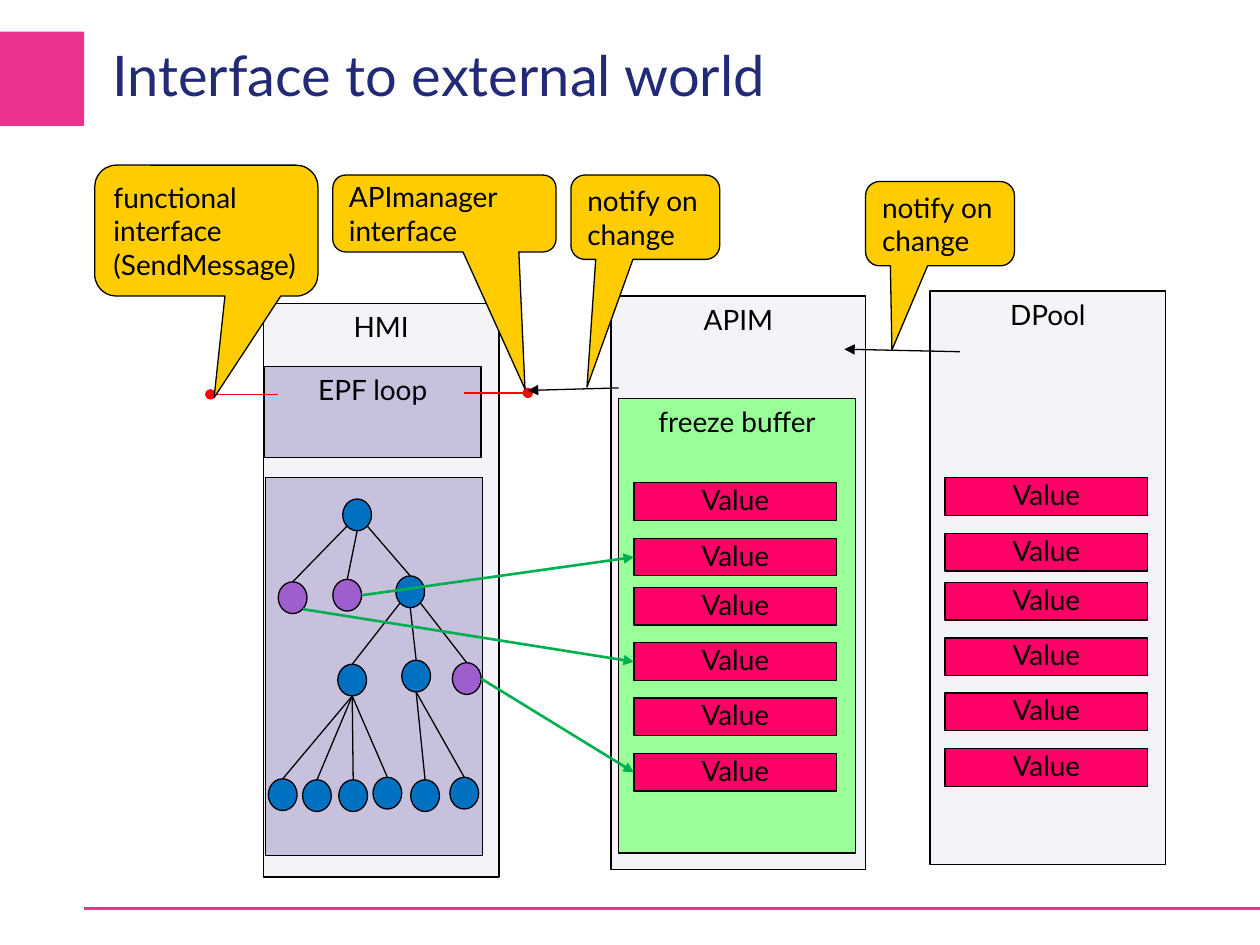
import pptx
import pptx.util
import pptx.dml.color
import pptx.enum.shapes
import pptx.enum.text
import pptx.oxml.ns
import lxml.etree

Cm = pptx.util.Cm
Pt = pptx.util.Pt
KIND = pptx.enum.shapes.MSO_SHAPE
ALIGN = pptx.enum.text.PP_ALIGN
ANCHOR = pptx.enum.text.MSO_ANCHOR

HUES = {
    "pink": "EB328C", "navy": "222A78", "black": "000000", "pale": "F4F3F8",
    "mauve": "C7C1DD", "mint": "99FF99", "rose": "FF0066", "gold": "FFCC00",
    "blue": "0070C0", "lilac": "9E5ECE", "green": "00B050", "red": "FF0000",
}

LABEL = {"word_wrap": False, "vertical_anchor": ANCHOR.TOP}
TIGHT = {**LABEL, "margin_top": 0, "margin_bottom": 0}
SPEECH = {"word_wrap": True, "vertical_anchor": ANCHOR.MIDDLE}
HEAD = {"word_wrap": True, "vertical_anchor": ANCHOR.MIDDLE,
        "auto_size": pptx.enum.text.MSO_AUTO_SIZE.NONE,
        "margin_left": 0, "margin_right": 0, "margin_top": 0, "margin_bottom": 0}

# Left and top of each tree node, its colour and its children
NODES = {
    "root": (6.91, 10.06, "blue", ["left", "mid", "right"]),
    "left": (5.61, 11.73, "lilac", []),
    "mid": (6.71, 11.68, "lilac", []),
    "right": (7.98, 11.61, "blue", ["low", "next", "last"]),
    "low": (6.81, 13.39, "blue", ["leaf1", "leaf2", "leaf3", "leaf4"]),
    "next": (8.10, 13.31, "blue", ["leaf5", "leaf6"]),
    "last": (9.12, 13.36, "lilac", []),
    "leaf1": (5.41, 15.70, "blue", []),
    "leaf2": (6.10, 15.72, "blue", []),
    "leaf3": (6.83, 15.72, "blue", []),
    "leaf4": (7.52, 15.67, "blue", []),
    "leaf5": (8.28, 15.72, "blue", []),
    "leaf6": (9.07, 15.67, "blue", []),
}
NODE_W, NODE_H = 0.58, 0.64
VALUE_W, VALUE_H = 4.09, 0.76
STEPS = [0, 1.12, 2.11, 3.23, 4.34, 5.46]


def color(name):
    return pptx.dml.color.RGBColor.from_string(HUES[name])


def apply(thing, style):
    for key, value in style.items():
        setattr(thing, key, value)


def write(shape, lines, frame, align, size=16, hue="black"):
    apply(shape.text_frame, frame)
    shape.text_frame.text = "\n".join(lines)
    for para in shape.text_frame.paragraphs:
        para.alignment = align
        apply(para.font, {"size": Pt(size), "name": "Lato"})
        para.font.color.rgb = color(hue)


def add_box(slide, box, fill, kind=KIND.RECTANGLE, edge="black"):
    shape = slide.shapes.add_shape(kind, *[Cm(side) for side in box])
    shape.shadow.inherit = False
    shape.fill.solid()
    shape.fill.fore_color.rgb = color(fill)
    shape.line.color.rgb = color(edge)
    shape.line.width = Pt(0.75)
    return shape


def add_panel(slide, box, fill, label=None, frame=LABEL):
    shape = add_box(slide, box, fill)
    if label:
        write(shape, [label], frame, ALIGN.CENTER)


def add_line(slide, start, end, hue="black", width=0.75, **tips):
    ends = [Cm(part) for part in (*start, *end)]
    line = slide.shapes.add_connector(
        pptx.enum.shapes.MSO_CONNECTOR.STRAIGHT, *ends)
    line.line.color.rgb = color(hue)
    line.line.width = Pt(width)
    name = pptx.oxml.ns.qn
    stroke = line.line._get_or_add_ln()
    # headEnd marks the start, tailEnd the end
    for tip, form in tips.items():
        lxml.etree.SubElement(stroke, name("a:" + tip), type=form)
    lxml.etree.SubElement(line._element.spPr, name("a:effectLst"))


def add_speech(slide, box, point, lines):
    shape = add_box(slide, box, "gold", KIND.ROUNDED_RECTANGULAR_CALLOUT)
    for spot, value in enumerate((*point, 0.167)):
        shape.adjustments[spot] = value
    write(shape, lines, SPEECH, ALIGN.LEFT)


def rim(name, across, down):
    """Point on a node's rim; across and down are -1, 0 or 1."""
    left, top = NODES[name][:2]
    reach = 0.36 if across and down else 0.5
    return (left + NODE_W * (0.5 + reach * across),
            top + NODE_H * (0.5 + reach * down))


def add_tree(slide):
    for name, (_, _, _, kids) in NODES.items():
        sides = [-1, 0, 1] if len(kids) == 3 else [0] * len(kids)
        for kid, side in zip(kids, sides):
            add_line(slide, rim(name, side, 1), rim(kid, 0, -1))
    for left, top, fill, _ in NODES.values():
        add_box(slide, (left, top, NODE_W, NODE_H), fill, KIND.OVAL)


def add_stack(slide, left, top):
    for step in STEPS:
        add_panel(slide, (left, top + step, VALUE_W, VALUE_H), "rose", "Value", TIGHT)


def add_frame(slide):
    block = add_box(slide, (-0.03, 0.64, 1.73, 1.9), "pink")
    block.line.fill.background()
    add_line(slide, (1.7, 18.31), (25.43, 18.31), "pink", 2)
    title = slide.shapes.title
    apply(title, {"left": Cm(2.26), "top": Cm(0.41),
                  "width": Cm(17.25), "height": Cm(2.16)})
    write(title, ["Interface to external world"], HEAD, ALIGN.LEFT, 32, "navy")


def main():
    deck = pptx.Presentation()
    apply(deck, {"slide_width": Cm(25.4), "slide_height": Cm(19.05)})
    slide = deck.slides.add_slide(deck.slide_layouts[5])
    add_frame(slide)

    # Main panels
    for box, fill, label in [
        ((18.75, 5.87, 4.75, 11.56), "pale", "DPool"),
        ((12.32, 5.97, 5.13, 11.56), "pale", "APIM"),
        ((12.47, 8.03, 4.78, 9.17), "mint", "freeze buffer"),
        ((5.31, 6.12, 4.75, 11.56), "pale", "HMI"),
        ((5.36, 9.63, 4.37, 7.62), "mauve", None),
        ((5.33, 7.39, 4.37, 1.83), "mauve", "EPF loop"),
    ]:
        add_panel(slide, box, fill, label)

    # Tree and value stacks
    add_tree(slide)
    left, top = 12.78, 9.73
    add_stack(slide, left, top)
    add_stack(slide, 19.05, 9.63)

    # Links from lilac nodes to buffered values
    for name, across, down, row in [
        ("mid", 1, 0, 1), ("left", 1, 1, 3), ("last", 1, 0, 5),
    ]:
        goal = (left, top + STEPS[row] + VALUE_H / 2)
        add_line(slide, rim(name, across, down), goal, "green", 1.5,
                 tailEnd="triangle")

    # Ports of the loop and notify arrows
    for start, end in [((10.64, 7.92), (9.35, 7.92)), ((4.24, 7.95), (5.61, 7.95))]:
        add_line(slide, start, end, "red", headEnd="oval")
    for start, end in [((19.35, 7.09), (17.02, 7.04)), ((12.47, 7.82), (10.64, 7.87))]:
        add_line(slide, start, end, tailEnd="triangle")

    # Callouts
    notify = ["notify on change"]
    for box, point, lines in [
        ((17.45, 3.66, 3, 1.7), (-0.323, 1.498), notify),
        ((11.51, 3.53, 3, 1.7), (-0.392, 2.015), notify),
        ((1.91, 3.33, 4.5, 2.64), (0.035, 1.276),
         ["functional interface", "(SendMessage)"]),
        ((6.71, 3.53, 4.5, 1.55), (0.361, 2.282), ["APImanager", "interface"]),
    ]:
        add_speech(slide, box, point, lines)

    deck.save("out.pptx")


main()
